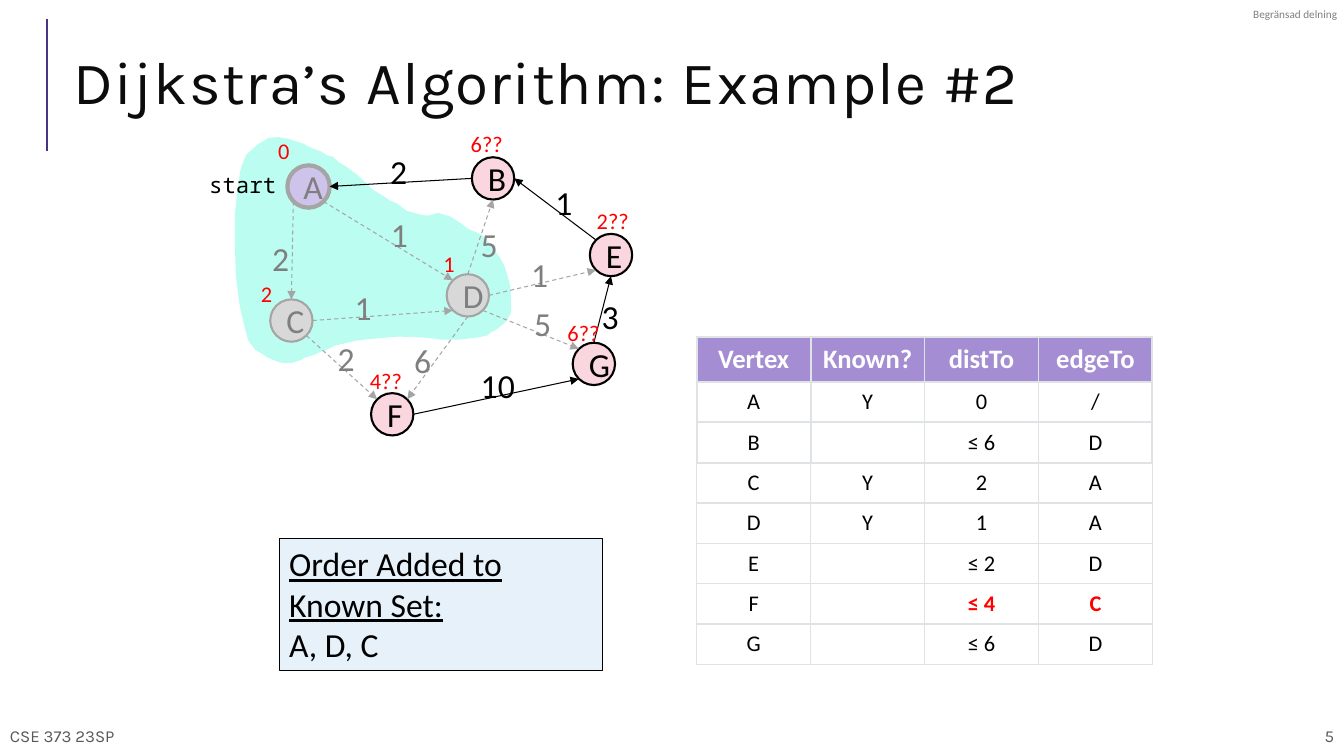
from lxml import etree
from pptx import Presentation
from pptx.dml.color import RGBColor
from pptx.enum.dml import MSO_LINE
from pptx.enum.shapes import MSO_CONNECTOR, MSO_SHAPE
from pptx.enum.text import MSO_ANCHOR, PP_ALIGN
from pptx.oxml.ns import qn
from pptx.util import Emu, Pt

PX = 9144  # one hundredth of an inch
NODE = 42
COLORS = {
    "black": "000000", "white": "FFFFFF", "title": "0C0C0C", "footer": "595959",
    "rule": "4C3282", "red": "FF0000", "grey_text": "7F7F7F", "grey_line": "A5A5A5",
    "known": "D8D8D8", "start": "CEC4EB", "unknown": "FAD7DE", "cloud": "BCFDF1",
    "box": "E7F1FA", "header": "A48DD3", "grid": "DFE3E5",
}
# name: (left, top, distance, label left, label top)
NODES = {
    "A": (285, 164, "0", 266, 131), "B": (468, 156, "6??", 457, 124),
    "C": (268, 297, "2", 249, 273), "D": (443, 272, "1", 430, 243),
    "F": (368, 390, "4??", 357, 359), "E": (585, 232, "2??", 582, 201),
    "G": (568, 340, "6??", 553, 312),
}
KNOWN = "ADC"
# from, side, to, side, weight, label left, label top
EDGES = [
    ("A", "SW", "C", "N", "2", 260, 231), ("B", "W", "A", "E", "2", 377, 145),
    ("D", "N", "B", "S", "5", 467, 217), ("A", "SE", "D", "NW", "1", 378, 207),
    ("C", "E", "D", "SW", "1", 342, 280), ("D", "E", "E", "SW", "1", 517, 247),
    ("E", "NW", "B", "E", "1", 541, 176), ("C", "SE", "F", "NW", "2", 325, 330),
    ("D", "S", "F", "NE", "6", 401, 332), ("D", "SE", "G", "NW", "5", 520, 296),
    ("G", "N", "E", "S", "3", 587, 289), ("F", "E", "G", "SW", "10", 467, 357),
]
CLOUD = [
    (432, 212), (424, 214), (417, 213), (406, 210), (403, 209), (394, 202), (387, 199),
    (381, 195), (371, 189), (365, 184), (355, 174), (343, 165), (336, 161), (331, 156),
    (324, 154), (318, 150), (312, 148), (305, 145), (302, 143), (287, 138), (276, 136),
    (266, 137), (260, 141), (256, 143), (247, 151), (244, 154), (240, 164), (238, 171),
    (237, 179), (235, 194), (233, 212), (233, 243), (234, 274), (235, 281), (237, 298),
    (239, 309), (243, 326), (245, 333), (247, 339), (251, 344), (253, 347), (260, 351),
    (266, 355), (276, 359), (280, 360), (290, 360), (299, 357), (302, 355), (312, 352),
    (318, 349), (326, 346), (332, 343), (353, 338), (371, 336), (395, 334), (422, 335),
    (437, 337), (455, 337), (473, 335), (483, 333), (488, 329), (491, 328), (500, 321),
    (504, 316), (507, 310), (507, 296), (506, 283), (502, 269), (500, 263), (496, 256),
    (489, 246), (484, 240), (478, 233), (471, 230), (464, 227), (459, 223), (450, 217),
    (447, 215), (440, 213), (434, 211),
]
TABLE = [
    ("Vertex", "Known?", "distTo", "edgeTo"),
    ("A", "Y", "0", "/"), ("B", "", "≤ 6", "D"), ("C", "Y", "2", "A"),
    ("D", "Y", "1", "A"), ("E", "", "≤ 2", "D"), ("F", "", "≤ 4", "C"),
    ("G", "", "≤ 6", "D"),
]
UPDATED = {(6, 2), (6, 3)}


def rgb(name):
    return RGBColor.from_string(COLORS[name])


def side_point(node, side):
    """Point on a node's circle in a compass direction."""
    dx = ("E" in side) - ("W" in side)
    dy = ("S" in side) - ("N" in side)
    reach = NODE / 2 * (0.71 if dx and dy else 1)
    x, y = NODES[node][:2]
    return round(x + NODE / 2 + dx * reach), round(y + NODE / 2 + dy * reach)


class Canvas:
    def __init__(self, slide, font="Calibri"):
        self.slide, self.font = slide, font

    def run(self, p, text, size, color, font=None, bold=False, underline=False):
        r = p.add_run()
        r.text = text
        f = r.font
        f.name, f.size, f.bold, f.underline = font or self.font, Pt(size), bold, underline
        f.color.rgb = rgb(color)
        return r

    def frame(self, tf, insets, anchor=MSO_ANCHOR.TOP, wrap=True):
        tf.margin_left = tf.margin_right = Emu(insets[0] * PX)
        tf.margin_top = tf.margin_bottom = Emu(insets[1] * PX)
        tf.vertical_anchor, tf.word_wrap = anchor, wrap
        return tf.paragraphs[0]

    def text(self, box, text, size, color, font=None, insets=(10, 5),
             anchor=MSO_ANCHOR.TOP, align=PP_ALIGN.LEFT, wrap=False):
        tb = self.slide.shapes.add_textbox(*(Emu(v * PX) for v in box))
        p = self.frame(tb.text_frame, insets, anchor, wrap)
        p.alignment = align
        return p, self.run(p, text, size, color, font)

    def fill(self, sp, color):
        sp.shadow.inherit = False
        sp.fill.solid()
        sp.fill.fore_color.rgb = rgb(color)

    def shape(self, kind, box, fill, line, width):
        sp = self.slide.shapes.add_shape(kind, *(Emu(v * PX) for v in box))
        self.fill(sp, fill)
        sp.line.color.rgb = rgb(line)
        sp.line.width = Pt(width)
        return sp

    def outline(self, points, fill):
        builder = self.slide.shapes.build_freeform(*points[0], scale=PX)
        builder.add_line_segments(points[1:], close=True)
        sp = builder.convert_to_shape()
        self.fill(sp, fill)
        sp.line.fill.background()

    def line(self, start, end, color, width, dashed=False, arrow=False):
        c = self.slide.shapes.add_connector(
            MSO_CONNECTOR.STRAIGHT, *(Emu(v * PX) for v in (*start, *end)))
        c.line.color.rgb = rgb(color)
        c.line.width = Pt(width)
        if dashed:
            c.line.dash_style = MSO_LINE.DASH
        sp_pr = c._element.spPr
        if arrow:
            etree.SubElement(sp_pr.find(qn("a:ln")), qn("a:tailEnd"), type="triangle")
        etree.SubElement(sp_pr, qn("a:effectLst"))

    def node(self, name):
        is_start, is_known = name == "A", name in KNOWN
        fill = "start" if is_start else "known" if is_known else "unknown"
        sp = self.shape(MSO_SHAPE.OVAL, (*NODES[name][:2], NODE, NODE), fill,
                        "grey_line" if is_known else "black", 3 if is_start else 1.5)
        p = self.frame(sp.text_frame, (10, 5), MSO_ANCHOR.MIDDLE)
        p.alignment = PP_ALIGN.CENTER
        self.run(p, name, 24, "grey_text" if is_known else "black")

    def borders(self, cell, widths):
        tc_pr = cell._tc.get_or_add_tcPr()
        for i, (side, width) in enumerate(zip("LRTB", widths)):
            ln = etree.Element(qn(f"a:ln{side}"), w=str(int(Pt(width))))
            fill = etree.SubElement(ln, qn("a:solidFill"))
            etree.SubElement(fill, qn("a:srgbClr"), val=COLORS["grid"])
            tc_pr.insert(i, ln)

    def table(self, left, top, rows, col_width, heights):
        table = self.slide.shapes.add_table(
            len(rows), len(rows[0]), Emu(left * PX), Emu(top * PX),
            Emu(col_width * len(rows[0]) * PX), Emu(sum(heights) * PX)).table
        for col in table.columns:
            col.width = Emu(col_width * PX)
        for i, row in enumerate(rows):
            table.rows[i].height = Emu(heights[i] * PX)
            for j, value in enumerate(row):
                self.cell(table.cell(i, j), value, i, (i, j) in UPDATED)

    def cell(self, cell, value, row, updated):
        cell.margin_left = cell.margin_right = Emu(7 * PX)
        cell.margin_top = cell.margin_bottom = Emu(6 * PX)
        cell.vertical_anchor = MSO_ANCHOR.MIDDLE
        cell.fill.solid()
        cell.fill.fore_color.rgb = rgb("white" if row else "header")
        thick = 1.5 if row < 3 else 1
        self.borders(cell, (thick, thick, 1.5 if row <= 3 else 1, thick))
        p = cell.text_frame.paragraphs[0]
        p.alignment = PP_ALIGN.CENTER
        if value:
            color = "red" if updated else "black" if row else "white"
            self.run(p, value, 16 if row else 19, color, bold=updated or row == 0)
        else:
            etree.SubElement(p._p, qn("a:endParaRPr"), sz="1600")


def main():
    prs = Presentation()
    prs.slide_width, prs.slide_height = Emu(1333 * PX), Emu(750 * PX)
    s = Canvas(prs.slides.add_slide(prs.slide_layouts[6]))

    s.line((47, 150), (47, 19), "rule", 1.5)
    for left, text, align in ((0, "CSE 373 23SP", PP_ALIGN.LEFT), (865, "5", PP_ALIGN.RIGHT)):
        s.text((left, 710, 468, 40), text, 12, "footer", "Karla", (10, 10),
               MSO_ANCHOR.MIDDLE, align, True)
    s.text((1243, 7, 86, 13), "Begränsad delning", 8, "grey_text", insets=(0, 0))
    s.table(691, 334, TABLE, 113, [45] + [40] * 7)
    s.outline(CLOUD, "cloud")
    p, r = s.text((63, 29, 1223, 111), "Dijkstra’s Algorithm: Example #2", 43, "title",
                  "Karla", anchor=MSO_ANCHOR.MIDDLE, wrap=True)
    p.line_spacing = 0.9
    r._r.get_or_add_rPr().set("spc", "100")

    order = s.shape(MSO_SHAPE.RECTANGLE, (277, 534, 321, 131), "box", "black", 0.75)
    p = s.frame(order.text_frame, (10, 5))
    p.alignment = PP_ALIGN.LEFT
    s.run(p, "Order Added to Known Set:", 24, "black", underline=True)
    p = order.text_frame.add_paragraph()
    p.alignment = PP_ALIGN.LEFT
    s.run(p, "A, D, C", 24, "black")

    for name in NODES:
        s.node(name)
    for tail, tail_side, head, head_side, weight, x, y in EDGES:
        known = tail in KNOWN
        s.line(side_point(tail, tail_side), side_point(head, head_side),
               "grey_line" if known else "black", 0.75, dashed=known, arrow=True)
        s.text((x, y, 20 + 17 * len(weight), 50), weight, 24,
               "grey_text" if known else "black")
    for _, _, distance, x, y in NODES.values():
        s.text((x, y, 22 + 10 * len(distance), 37), distance, 16, "red")
    s.text((181, 157, 106, 52), "start", 16, "black", "Noto Sans Mono", (13, 13),
           align=PP_ALIGN.RIGHT, wrap=True)
    prs.save("out.pptx")


if __name__ == "__main__":
    main()
